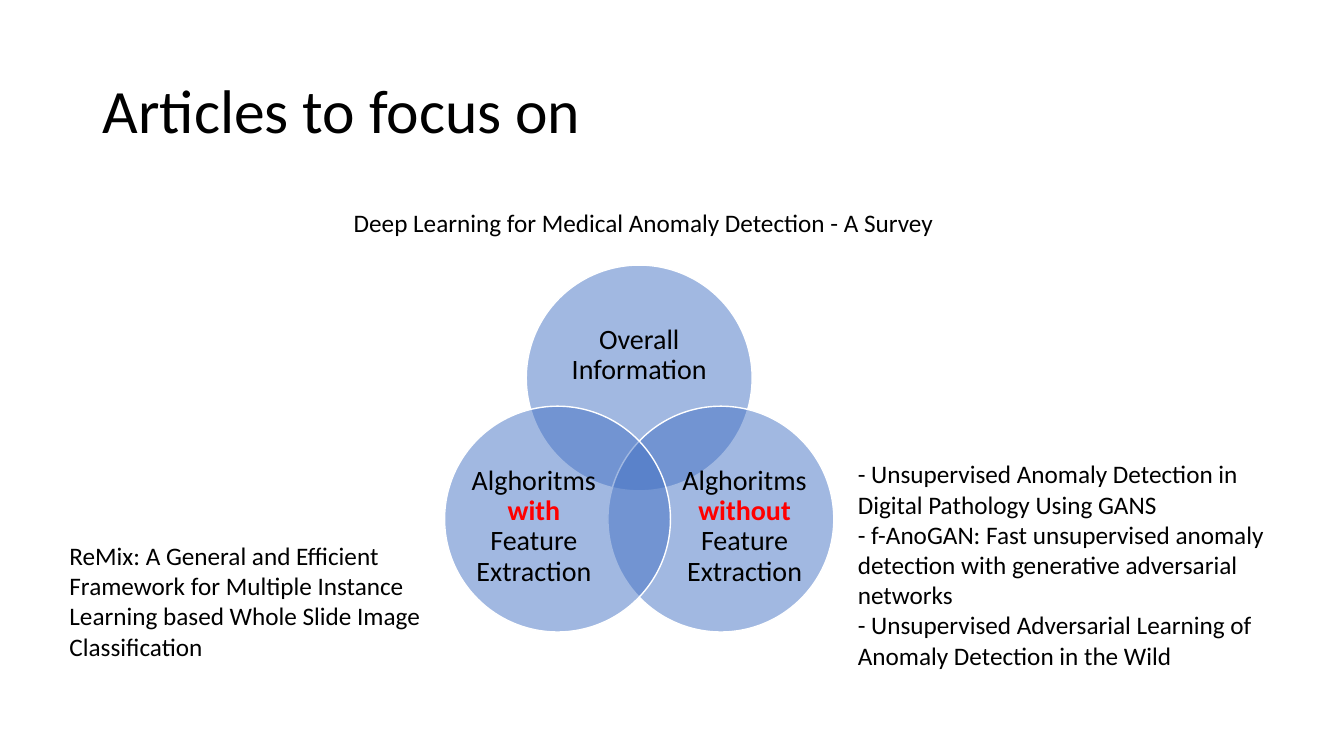
"""Build the slide that sorts articles around a three-circle Venn diagram."""
from dataclasses import dataclass

import pptx
import pptx.dml.color
import pptx.enum.shapes
import pptx.enum.text
import pptx.oxml.ns
import pptx.slide
import pptx.util
from lxml import etree

Inches = pptx.util.Inches
Align = pptx.enum.text.PP_ALIGN
Anchor = pptx.enum.text.MSO_ANCHOR

BLACK, RED, WHITE, BLUE = "000000", "FF0000", "FFFFFF", "4472C4"
DIAMETER = 2.24
BASE_FONT = {"name": "Calibri", "bold": False}
EMPHASIS_FONT = {"name": "Calibri", "bold": True}
ARTICLE_FRAME = {"word_wrap": True}
TITLE_FRAME = {"word_wrap": True, "vertical_anchor": Anchor.MIDDLE}
TOPIC_FRAME = TITLE_FRAME | {
    f"margin_{side}": 0 for side in ("left", "top", "right", "bottom")
}
TITLE_PARAGRAPH = {"line_spacing": 0.9}
TOPIC_PARAGRAPH = TITLE_PARAGRAPH | {"alignment": Align.CENTER}


@dataclass(frozen=True)
class Box:
    left: float
    top: float
    width: float
    height: float

    def lengths(self) -> tuple[int, ...]:
        return tuple(map(Inches, (self.left, self.top, self.width, self.height)))


@dataclass(frozen=True)
class Passage:
    text: str
    emphasis: bool = False


@dataclass(frozen=True)
class Topic:
    left: float
    top: float
    label: Box
    passages: tuple[Passage, ...]


@dataclass(frozen=True)
class Note:
    box: Box
    paragraphs: tuple[str, ...]


def algorithm_label(manner: str) -> tuple[Passage, ...]:
    """Return the label of an algorithm topic with its manner emphasised."""
    return (
        Passage("Alghoritms "),
        Passage(f"{manner} ", True),
        Passage("Feature Extraction"),
    )


TITLE = Note(Box(0.92, 0.4, 11.5, 1.45), ("Articles to focus on",))
TOPICS = (
    Topic(5.22, 2.63, Box(5.52, 3.02, 1.64, 1.01), (Passage("Overall Information"),)),
    Topic(6.03, 4.03, Box(6.71, 4.61, 1.35, 1.23), algorithm_label("without")),
    Topic(4.41, 4.03, Box(4.62, 4.61, 1.35, 1.23), algorithm_label("with")),
)
ARTICLES = (
    Note(
        Box(3.41, 2.01, 6.52, 0.4),
        ("Deep Learning for Medical Anomaly Detection - A Survey",),
    ),
    Note(
        Box(8.41, 4.5, 4.34, 2.22),
        (
            "- Unsupervised Anomaly Detection in Digital Pathology Using GANS",
            "- f-AnoGAN: Fast unsupervised anomaly detection with generative "
            "adversarial networks",
            "- Unsupervised Adversarial Learning of Anomaly Detection in the Wild",
        ),
    ),
    Note(
        Box(0.59, 5.31, 3.88, 1.31),
        (
            "ReMix: A General and Efficient Framework for Multiple Instance "
            "Learning based Whole Slide Image Classification",
        ),
    ),
)


def color(code: str) -> pptx.dml.color.RGBColor:
    """Return the colour for a hex string."""
    return pptx.dml.color.RGBColor.from_string(code)


def apply(target: object, values: dict[str, object]) -> None:
    """Set every format value on the target."""
    for name, value in values.items():
        setattr(target, name, value)


def add_text(
    slide: pptx.slide.Slide,
    box: Box,
    paragraphs: list[tuple[Passage, ...]],
    size: int,
    frame_values: dict[str, object],
    paragraph_values: dict[str, object],
) -> None:
    """Write paragraphs of passages into a text box."""
    frame = slide.shapes.add_textbox(*box.lengths()).text_frame
    apply(frame, frame_values)
    for index, passages in enumerate(paragraphs):
        paragraph = frame.add_paragraph() if index else frame.paragraphs[0]
        apply(paragraph, paragraph_values)
        for passage in passages:
            run = paragraph.add_run()
            run.text = passage.text
            apply(run.font, EMPHASIS_FONT if passage.emphasis else BASE_FONT)
            run.font.size = pptx.util.Pt(size)
            run.font.color.rgb = color(RED if passage.emphasis else BLACK)


def add_note(
    slide: pptx.slide.Slide,
    note: Note,
    size: int,
    frame_values: dict[str, object],
    paragraph_values: dict[str, object],
) -> None:
    """Write a note of plain paragraphs."""
    paragraphs = [(Passage(text),) for text in note.paragraphs]
    add_text(slide, note.box, paragraphs, size, frame_values, paragraph_values)


def add_topic(slide: pptx.slide.Slide, topic: Topic) -> None:
    """Draw a half-transparent circle and its label."""
    circle = slide.shapes.add_shape(
        pptx.enum.shapes.MSO_SHAPE.OVAL,
        *Box(topic.left, topic.top, DIAMETER, DIAMETER).lengths(),
    )
    circle.shadow.inherit = False
    circle.fill.solid()
    circle.fill.fore_color.rgb = color(BLUE)
    qn = pptx.oxml.ns.qn
    tint = circle.element.spPr.find(qn("a:solidFill")).find(qn("a:srgbClr"))
    etree.SubElement(tint, qn("a:alpha"), val="50000")
    circle.line.color.rgb = color(WHITE)
    circle.line.width = pptx.util.Pt(1)
    add_text(slide, topic.label, [topic.passages], 20, TOPIC_FRAME, TOPIC_PARAGRAPH)


def main() -> None:
    """Build and save the presentation."""
    deck = pptx.Presentation()
    apply(deck, {"slide_width": Inches(13.33), "slide_height": Inches(7.5)})
    slide = deck.slides.add_slide(deck.slide_layouts[6])
    add_note(slide, TITLE, 44, TITLE_FRAME, TITLE_PARAGRAPH)
    for topic in TOPICS:
        add_topic(slide, topic)
    for article in ARTICLES:
        add_note(slide, article, 18, ARTICLE_FRAME, {})
    deck.save("out.pptx")


if __name__ == "__main__":
    main()
